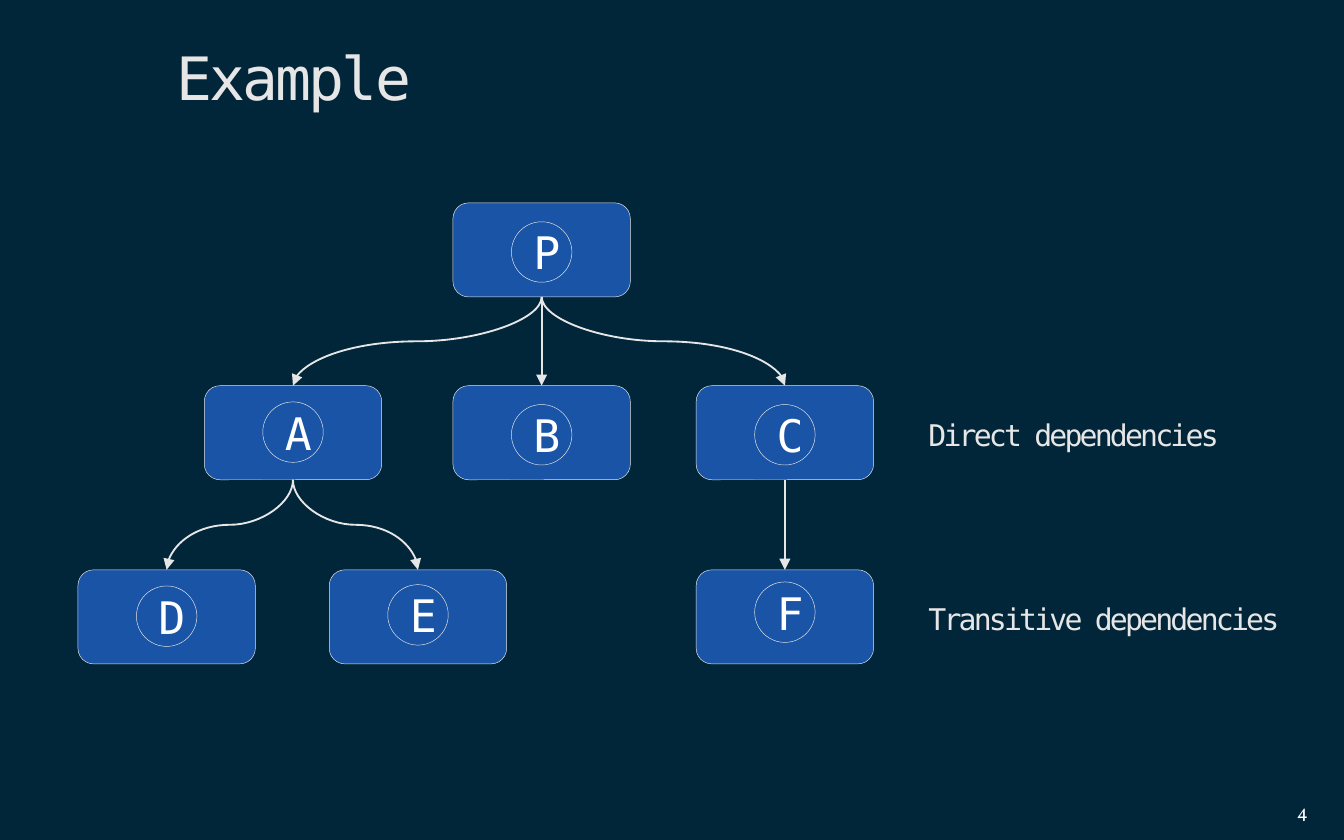
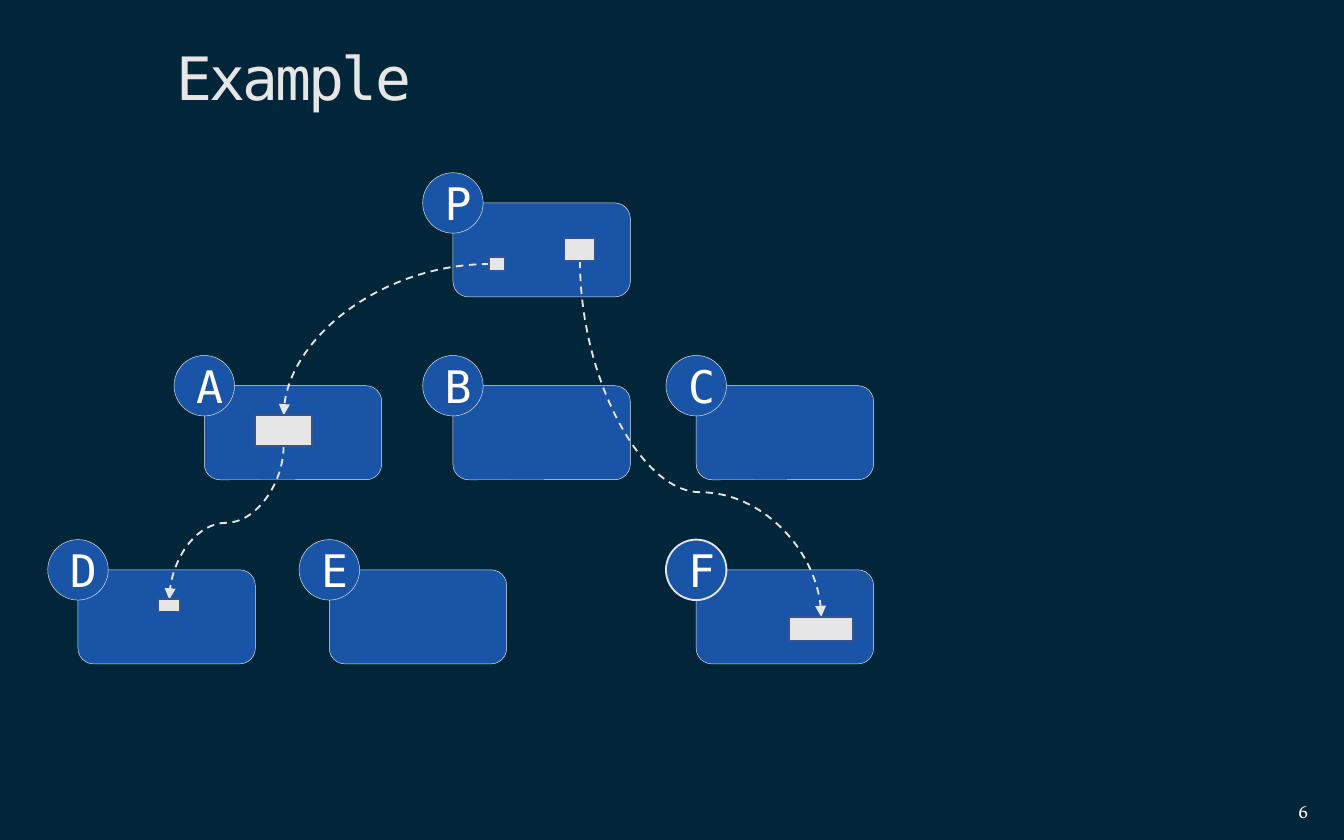
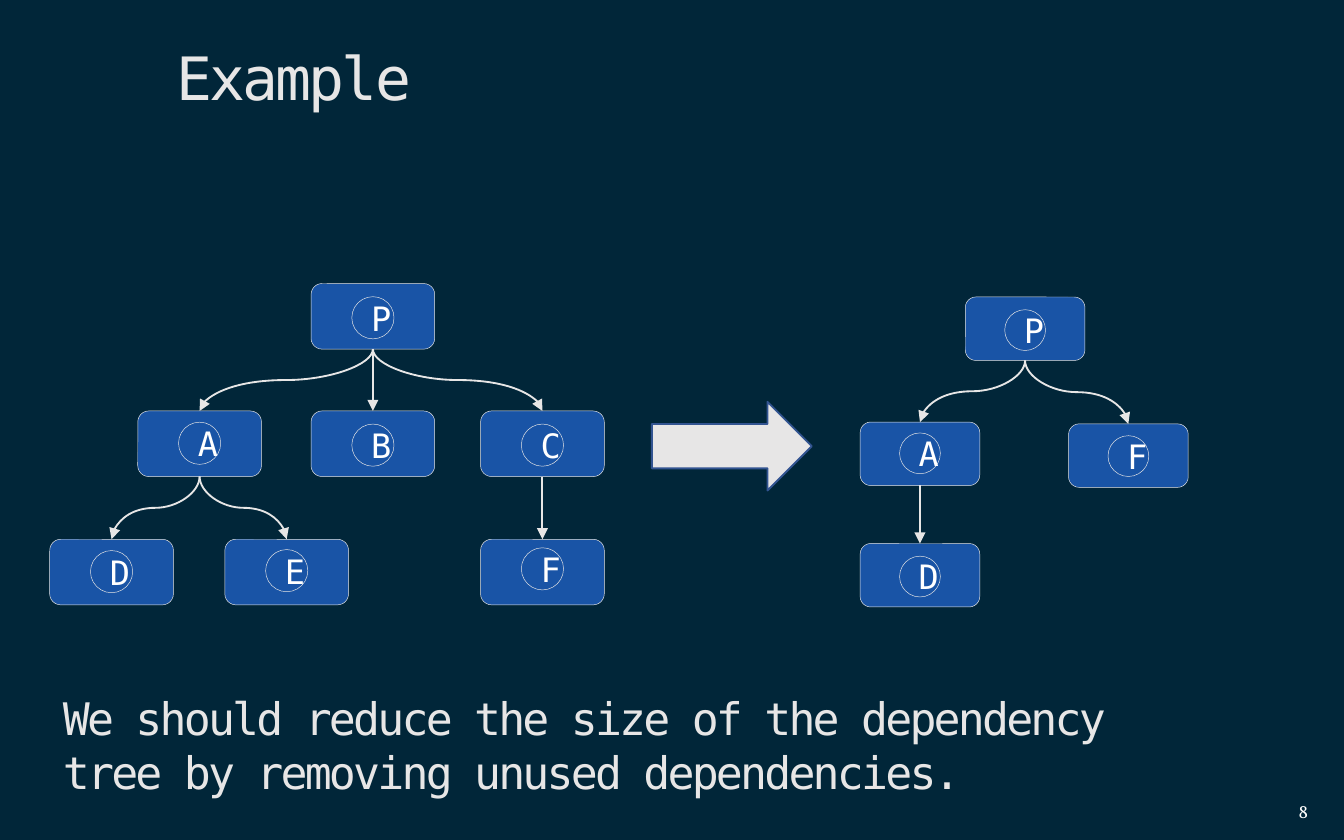
from dataclasses import dataclass

import pptx
import pptx.dml.color
import pptx.enum.dml
import pptx.enum.shapes
import pptx.enum.text
import pptx.oxml.ns
import pptx.util
from lxml import etree

Inches = pptx.util.Inches
Pt = pptx.util.Pt
RGBColor = pptx.dml.color.RGBColor
SHAPE = pptx.enum.shapes.MSO_SHAPE
CONNECTOR = pptx.enum.shapes.MSO_CONNECTOR
ALIGN = pptx.enum.text.PP_ALIGN
ANCHOR = pptx.enum.text.MSO_ANCHOR
AUTO_SIZE = pptx.enum.text.MSO_AUTO_SIZE
qn = pptx.oxml.ns.qn

NAVY = RGBColor(0x01, 0x26, 0x39)
BLUE = RGBColor(0x19, 0x54, 0xA6)
EDGE_BLUE = RGBColor(0x32, 0x54, 0x91)
PALE = RGBColor(0xE7, 0xE6, 0xE6)
WHITE = RGBColor(0xFF, 0xFF, 0xFF)
MONO = "DejaVu Sans Mono"
SERIF = "Vollkorn"
TIGHT = -1.5

BOX_W, BOX_H = 1.32, 0.7
BADGE = 0.45
BADGE_X = (BOX_W - BADGE) / 2
ROW_2, ROW_3 = 1.36, 2.73


@dataclass
class Node:
    x: float
    y: float
    badge_y: float


@dataclass
class Box:
    left: float
    top: float
    width: float
    height: float

    @property
    def center(self):
        return self.left + self.width / 2

    @property
    def middle(self):
        return self.top + self.height / 2

    @property
    def bottom(self):
        return self.top + self.height

    def inches(self):
        return [Inches(v) for v in (self.left, self.top, self.width, self.height)]


FULL_TREE = {
    "P": Node(2.79, 0, 0.14),
    "A": Node(0.94, ROW_2, 0.12),
    "B": Node(2.79, ROW_2, 0.14),
    "C": Node(4.6, ROW_2, 0.14),
    "D": Node(0, ROW_3, 0.12),
    "E": Node(1.87, ROW_3, 0.11),
    "F": Node(4.6, ROW_3, 0.09),
}
FULL_EDGES = ["PA", "PC", "PB", "AD", "AE", "CF"]
REDUCED_TREE = {
    "P": Node(1.16, 0, 0.14),
    "A": Node(0, 1.38, 0.12),
    "F": Node(2.3, 1.4, 0.13),
    "D": Node(0, 2.72, 0.14),
}
REDUCED_EDGES = ["PA", "PF", "AD"]


def style_text(tf, size, color, font=MONO, spacing=0):
    for p in tf.paragraphs:
        for r in p.runs:
            r.font.size = Pt(size)
            r.font.name = font
            r.font.color.rgb = color
            if spacing:
                r._r.get_or_add_rPr().set("spc", str(int(spacing * 100)))


def add_text(slide, box, text, size, color=PALE, font=MONO):
    sp = slide.shapes.add_textbox(*box.inches())
    tf = sp.text_frame
    tf.word_wrap = True
    tf.text = text
    style_text(tf, size, color, font, TIGHT)
    return tf


def add_label(slide, box, text, size):
    tf = add_text(slide, box, text, size)
    tf.auto_size = AUTO_SIZE.SHAPE_TO_FIT_TEXT


def add_filled(shapes, kind, box, fill=BLUE, line=PALE, width=0.25):
    sp = shapes.add_shape(kind, *box.inches())
    sp.shadow.inherit = False
    sp.fill.solid()
    sp.fill.fore_color.rgb = fill
    sp.line.color.rgb = line
    sp.line.width = Pt(width)
    return sp


def add_arrow(shapes, kind, x1, y1, x2, y2, dashed=False):
    cn = shapes.add_connector(kind, *[Inches(v) for v in (x1, y1, x2, y2)])
    cn.line.color.rgb = PALE
    cn.line.width = Pt(1)
    if dashed:
        cn.line.dash_style = pptx.enum.dml.MSO_LINE.DASH
    ln = cn.line._get_or_add_ln()
    etree.SubElement(ln, qn("a:tailEnd"), type="triangle")
    etree.SubElement(cn._element.spPr, qn("a:effectLst"))
    return cn


def rotate(cn, degrees):
    cn._element.spPr.find(qn("a:xfrm")).set("rot", str(degrees * 60000))


def add_drop(shapes, x1, y1, x2, y2, dashed=False, bend=0.5):
    if abs(x1 - x2) < 0.01:
        return add_arrow(shapes, CONNECTOR.STRAIGHT, x1, y1, x2, y2, dashed)
    cx, cy = (x1 + x2) / 2, (y1 + y2) / 2
    half_w, half_h = (y2 - y1) / 2, abs(x2 - x1) / 2
    side = 1 if x2 < x1 else -1
    cn = add_arrow(shapes, CONNECTOR.CURVE, cx - side * half_w, cy - half_h,
                   cx + side * half_w, cy + half_h, dashed)
    rotate(cn, 90 if side == 1 else 270)
    av = cn._element.spPr.find(qn("a:prstGeom")).find(qn("a:avLst"))
    etree.SubElement(av, qn("a:gd"), name="adj1", fmla=f"val {int(bend * 100000)}")
    return cn


def add_side_curve(shapes, x1, y1, x2, y2):
    cn = add_arrow(shapes, CONNECTOR.CURVE, x2, y2, x1, y1, dashed=True)
    cn._element.spPr.find(qn("a:prstGeom")).set("prst", "curvedConnector2")
    rotate(cn, 180)


def add_tree(shapes, left, top, nodes, edges, scale=1, size=24, corner=False, bold_badges=""):
    boxes = {
        name: Box(left + n.x * scale, top + n.y * scale, BOX_W * scale, BOX_H * scale)
        for name, n in nodes.items()
    }
    for box in boxes.values():
        add_filled(shapes, SHAPE.ROUNDED_RECTANGLE, box)
    for start, end in edges:
        a, b = boxes[start], boxes[end]
        add_drop(shapes, a.center, a.bottom, b.center, b.top)
    for name, box in boxes.items():
        dx, dy = (-BADGE / 2, -BADGE / 2) if corner else (BADGE_X, nodes[name].badge_y)
        badge = Box(box.left + dx * scale, box.top + dy * scale, BADGE * scale, BADGE * scale)
        sp = add_filled(shapes, SHAPE.OVAL, badge, width=1 if name in bold_badges else 0.25)
        tf = sp.text_frame
        tf.text = name
        tf.vertical_anchor = ANCHOR.MIDDLE
        tf.paragraphs[0].alignment = ALIGN.CENTER
        style_text(tf, size, WHITE)
    return boxes


def add_used_code(shapes, boxes):
    def part(node, dx, dy, w, h):
        return Box(boxes[node].left + dx, boxes[node].top + dy, w, h)

    p_small = part("P", 0.27, 0.4, 0.12, 0.11)
    p_large = part("P", 0.83, 0.26, 0.23, 0.17)
    a_part = part("A", 0.38, 0.22, 0.42, 0.23)
    d_part = part("D", 0.6, 0.22, 0.16, 0.09)
    f_part = part("F", 0.69, 0.35, 0.48, 0.18)
    add_side_curve(shapes, p_small.left, p_small.middle, a_part.center, a_part.top)
    add_drop(shapes, a_part.center, a_part.bottom, d_part.center, d_part.top, True)
    add_drop(shapes, p_large.center, p_large.bottom, f_part.center, f_part.top, True, 0.65)
    for box in (a_part, p_small, d_part, p_large, f_part):
        add_filled(shapes, SHAPE.RECTANGLE, box, PALE, EDGE_BLUE, 1)


def set_up_template(prs):
    prs.slide_width, prs.slide_height = Inches(10), Inches(6.25)
    fill = prs.slide_master.background.fill
    fill.solid()
    fill.fore_color.rgb = NAVY
    layout = prs.slide_layouts[5]
    title = layout.placeholders[0]
    title.left, title.top, title.width, title.height = Box(1.21, 0.25, 8.62, 0.7).inches()
    return layout


def add_slide(prs, layout, number):
    slide = prs.slides.add_slide(layout)
    tf = slide.shapes.title.text_frame
    tf.text = "Example"
    tf.vertical_anchor = ANCHOR.MIDDLE
    p = tf.paragraphs[0]
    p.alignment = ALIGN.LEFT
    p.line_spacing = 0.9
    style_text(tf, 32, PALE, spacing=TIGHT)
    tf = add_text(slide, Box(7.58, 5.87, 2.25, 0.33), str(number), 10, WHITE, SERIF)
    tf.vertical_anchor = ANCHOR.MIDDLE
    tf.paragraphs[0].alignment = ALIGN.RIGHT
    return slide


def build_dependency_slide(slide):
    boxes = add_tree(slide.shapes, 0.58, 1.51, FULL_TREE, FULL_EDGES)
    for node, text in (("C", "Direct dependencies"), ("F", "Transitive dependencies")):
        add_label(slide, Box(6.81, boxes[node].top + 0.18, 3.08, 0.37), text, 16)


def build_usage_slide(slide):
    boxes = add_tree(slide.shapes, 0.58, 1.51, FULL_TREE, [], corner=True, bold_badges="F")
    add_used_code(slide.shapes, boxes)


def build_reduction_slide(slide):
    reduced = slide.shapes.add_group_shape().shapes
    add_tree(reduced, 6.4, 2.21, REDUCED_TREE, REDUCED_EDGES, 0.89 / BOX_W, 18)
    full = slide.shapes.add_group_shape().shapes
    add_tree(full, 0.37, 2.11, FULL_TREE, FULL_EDGES, 0.92 / BOX_W, 18)
    add_filled(slide.shapes, SHAPE.RIGHT_ARROW, Box(4.85, 2.99, 1.19, 0.66), PALE, EDGE_BLUE, 1)
    add_label(slide, Box(0.37, 5.09, 8.47, 0.91),
              "We should reduce the size of the dependency tree by removing unused dependencies.", 24)


def main():
    prs = pptx.Presentation()
    layout = set_up_template(prs)
    build_dependency_slide(add_slide(prs, layout, 4))
    build_usage_slide(add_slide(prs, layout, 6))
    build_reduction_slide(add_slide(prs, layout, 8))
    prs.save("out.pptx")


if __name__ == "__main__":
    main()
